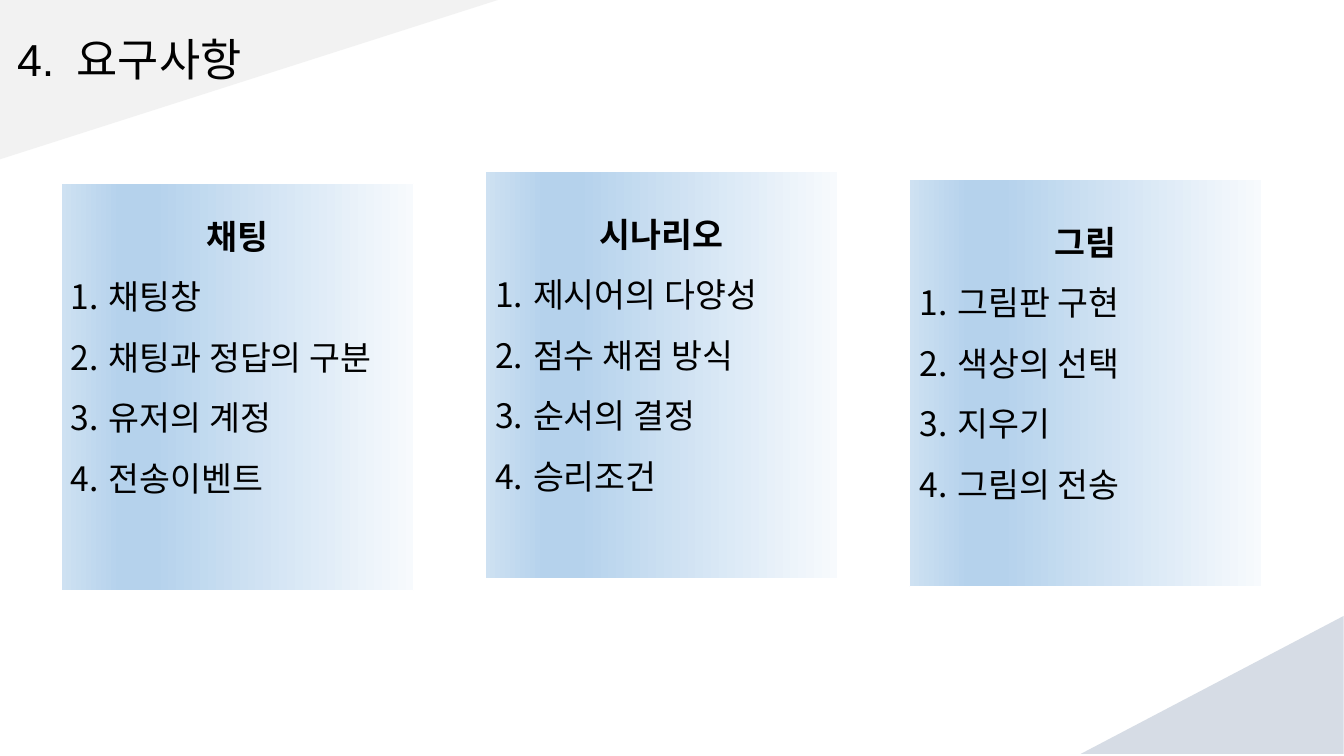
import pptx
import pptx.util
import pptx.dml.color
import pptx.enum.shapes
import pptx.enum.text
import pptx.oxml
import pptx.oxml.ns

Pt = pptx.util.Pt
ALIGN = pptx.enum.text.PP_ALIGN
ANCHOR = pptx.enum.text.MSO_ANCHOR
FONT = "Arial"
STOPS = [(0, "F7FAFD"), (74, "B5D2EC"), (83, "B5D2EC"), (100, "CEE1F2")]

# Card columns: top, heading line spacing, heading, items
CARDS = [
    (131, 1.0, "채팅", ["채팅창", "채팅과 정답의 구분", "유저의 계정", "전송이벤트"]),
    (122.4, 1.5, "시나리오", ["제시어의 다양성", "점수 채점 방식", "순서의 결정", "승리조건"]),
    (128.2, 1.5, "그림", ["그림판 구현", "색상의 선택", "지우기", "그림의 전송"]),
]


def color(code):
    return pptx.dml.color.RGBColor.from_string(code)


def node(xml):
    space = pptx.oxml.ns.nsdecls("a")
    return pptx.oxml.parse_xml(xml.replace("XMLNS", space, 1))


def place(shape, left, top, width, height):
    shape.left, shape.top = Pt(left), Pt(top)
    shape.width, shape.height = Pt(width), Pt(height)


def style(para, size, space, bold=False):
    font = para.font
    font.name, font.size, font.bold = FONT, Pt(size), bold
    font.color.rgb = color("000000")
    para.line_spacing = space
    para.space_before = para.space_after = Pt(0)


def indent(para, width, *bullet):
    props = para._p.get_or_add_pPr()
    props.set("marL", str(Pt(width)))
    props.set("indent", str(-Pt(width)))
    for xml in bullet:
        props.insert_element_before(node(xml), "a:tabLst", "a:defRPr", "a:extLst")


def corner(slide, left, top, width, height, turn, fill):
    kind = pptx.enum.shapes.MSO_SHAPE.RIGHT_TRIANGLE
    shape = slide.shapes.add_shape(kind, Pt(left), Pt(top), Pt(width), Pt(height))
    shape.rotation = turn
    shape.shadow.inherit = False
    shape.fill.solid()
    shape.fill.fore_color.rgb = color(fill)
    shape.line.fill.background()
    # Send behind the text
    slide.shapes._spTree.insert(2, shape._element)


def shade(shape):
    stops = "".join(
        f'<a:gs pos="{pos * 1000}"><a:srgbClr val="{code}"/></a:gs>'
        for pos, code in STOPS
    )
    grad = node(
        f'<a:gradFill XMLNS rotWithShape="1"><a:gsLst>{stops}</a:gsLst>'
        '<a:lin ang="10800000" scaled="0"/></a:gradFill>'
    )
    shape.line.color.rgb = color("FFFFFF")
    shape.line.width = Pt(1)
    shape._element.spPr.insert_element_before(grad, "a:ln")


def title(slide, number, words):
    shape = slide.shapes.title
    place(shape, 5, 0, 180.7, 65.5)
    frame = shape.text_frame
    frame.word_wrap = False
    frame.auto_size = pptx.enum.text.MSO_AUTO_SIZE.NONE
    frame.vertical_anchor = ANCHOR.TOP
    para = frame.paragraphs[0]
    para.alignment = ALIGN.LEFT
    style(para, 32, 1.5)
    for text in (number, " ", words):
        para.add_run().text = text
    # Widen the gap after the number
    para.runs[1]._r.get_or_add_rPr().set("spc", "700")


def card(shape, left, top, space, head, items):
    place(shape, left, top, 252, 290.9)
    shade(shape)
    frame = shape.text_frame
    frame.word_wrap = True
    frame.auto_size = pptx.enum.text.MSO_AUTO_SIZE.NONE
    frame.vertical_anchor = ANCHOR.MIDDLE
    frame.margin_bottom = Pt(46.8)
    # Heading
    para = frame.paragraphs[0]
    para.text = head
    para.alignment = ALIGN.CENTER
    style(para, 24, space, True)
    indent(para, 0, "<a:buNone XMLNS/>")
    # Numbered list
    for item in items:
        para = frame.add_paragraph()
        para.text = item
        para.alignment = ALIGN.LEFT
        style(para, 24, 1.5)
        indent(para, 27, "<a:buFontTx XMLNS/>",
               '<a:buAutoNum XMLNS type="arabicPeriod"/>')


def main():
    deck = pptx.Presentation()
    deck.slide_width, deck.slide_height = Pt(960), Pt(540)
    slide = deck.slides.add_slide(deck.slide_layouts[4])

    # Background corners
    corner(slide, 121, -121, 113.8, 355.7, 90, "F2F2F2")
    corner(slide, 816.5, 395.3, 98.6, 187.9, 270, "D6DCE5")

    # Title and cards
    title(slide, "4.", "요구사항")
    *bodies, spare = list(slide.placeholders)[1:]
    for i, (body, data) in enumerate(zip(bodies, CARDS)):
        card(body, 43.5 + i * 303, *data)
    spare._element.getparent().remove(spare._element)

    deck.save("out.pptx")


if __name__ == "__main__":
    main()
